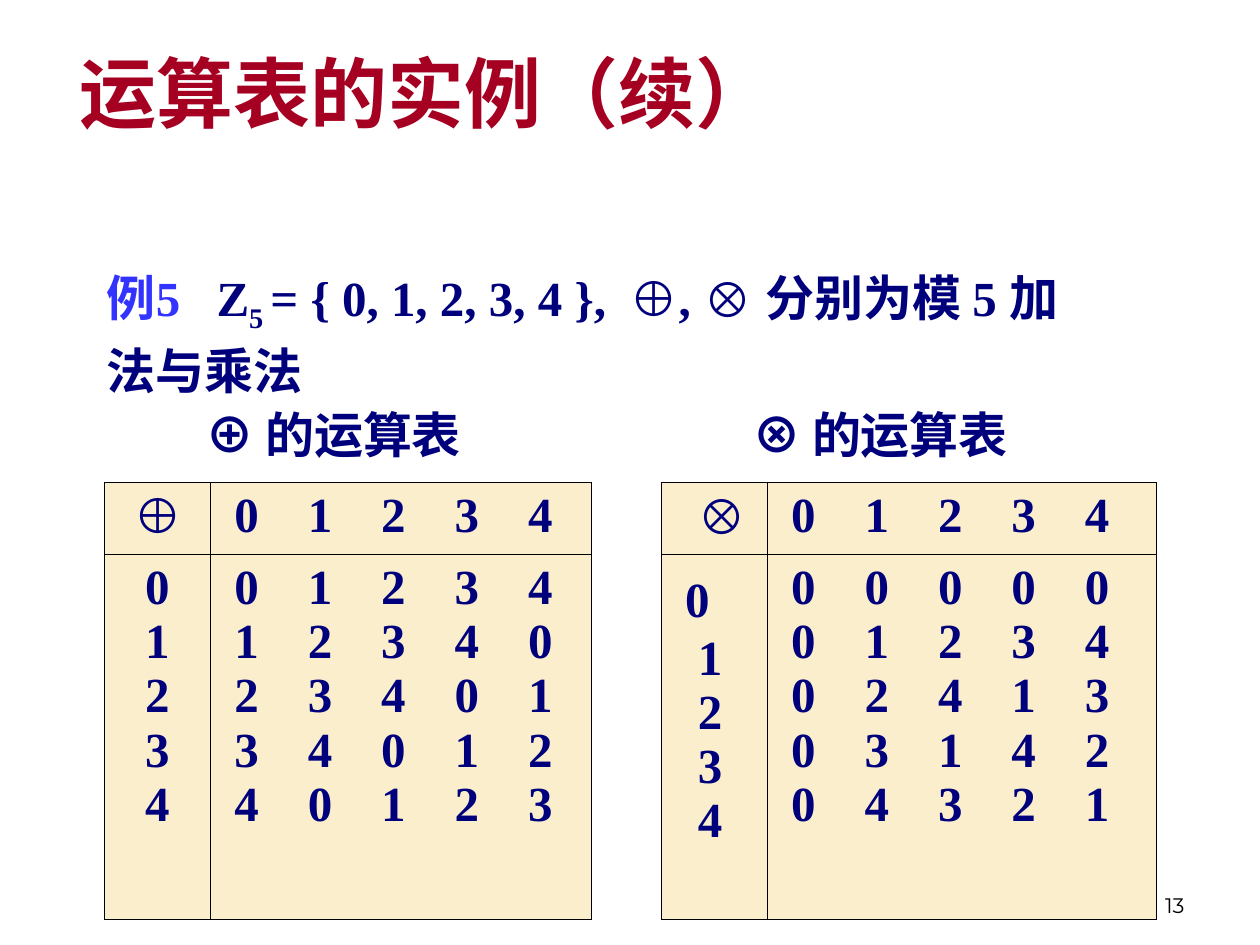
from dataclasses import dataclass

from lxml.etree import SubElement
from pptx import Presentation
from pptx.dml.color import RGBColor
from pptx.enum.text import MSO_ANCHOR, PP_ALIGN
from pptx.oxml.ns import qn
from pptx.util import Inches, Pt


@dataclass(frozen=True)
class Theme:
    title: str = "A50021"
    accent: str = "3333FF"
    ink: str = "00007D"
    cell: str = "FBEECD"
    rule: str = "000000"
    serif: str = "Times New Roman"
    sans: str = "Arial"
    chinese: str = "Noto Sans CJK SC"
    number: str = "Montserrat"
    title_size: int = 44
    body_size: int = 28
    number_size: int = 12
    rule_width: float = 0.45


class SlideBuilder:
    def __init__(self, slide, theme):
        self.slide = slide
        self.theme = theme

    def style(self, run, font=None, size=None, color=None, bold=True):
        theme = self.theme
        run.font.name = font or theme.serif
        run.font.size = Pt(size or theme.body_size)
        run.font.bold = bold
        run.font.color.rgb = RGBColor.from_string(color or theme.ink)
        latin = run.font._element.find(qn("a:latin"))
        chinese = latin.makeelement(qn("a:ea"), typeface=theme.chinese)
        latin.addnext(chinese)

    def tab_stops(self, paragraph, stops):
        tabs = SubElement(paragraph._p.get_or_add_pPr(), qn("a:tabLst"))
        for stop in stops:
            SubElement(tabs, qn("a:tab"), pos=str(Inches(stop)), algn="l")

    def text_box(self, left, top, width, height, anchor=MSO_ANCHOR.TOP):
        box = self.slide.shapes.add_textbox(
            Inches(left), Inches(top), Inches(width), Inches(height))
        frame = box.text_frame
        frame.word_wrap = True
        frame.vertical_anchor = anchor
        return frame

    def line(self, area, text, align=PP_ALIGN.LEFT, anchor=MSO_ANCHOR.MIDDLE, **look):
        frame = self.text_box(*area, anchor=anchor)
        frame.text = text
        paragraph = frame.paragraphs[0]
        paragraph.alignment = align
        self.style(paragraph.runs[0], **look)

    def rich_line(self, paragraph, pieces, stops):
        paragraph.line_spacing = 1.1
        self.tab_stops(paragraph, stops)
        for text, look in pieces:
            run = paragraph.add_run()
            run.text = text
            self.style(run, **look)
        return paragraph.runs

    def table(self, left, top, widths, heights):
        frame = self.slide.shapes.add_table(
            len(heights), len(widths), Inches(left), Inches(top),
            Inches(sum(widths)), Inches(sum(heights)))
        table = frame.table
        table.first_row = table.horz_banding = False
        for column, width in zip(table.columns, widths):
            column.width = Inches(width)
        for row, height in zip(table.rows, heights):
            row.height = Inches(height)
        return table

    def paint_cell(self, cell, sides="LRTB", filled=True):
        properties = cell._tc.get_or_add_tcPr()
        for side in "LRTB":
            border = SubElement(properties, qn(f"a:ln{side}"), w=str(Pt(self.theme.rule_width)))
            if side in sides:
                fill = SubElement(border, qn("a:solidFill"))
                SubElement(fill, qn("a:srgbClr"), val=self.theme.rule)
            else:
                SubElement(border, qn("a:noFill"))
        if filled:
            cell.fill.solid()
            cell.fill.fore_color.rgb = RGBColor.from_string(self.theme.cell)
        else:
            cell.fill.background()

    def fill_cell(self, cell, lines, margin=0.1, align=PP_ALIGN.LEFT, font=None, stops=()):
        cell.margin_left = Inches(margin)
        cell.text_frame.text = "\n".join(lines)
        for paragraph in cell.text_frame.paragraphs:
            paragraph.alignment = align
            if stops:
                self.tab_stops(paragraph, stops)
            self.style(paragraph.runs[0], font=font)


def add_statement(builder):
    theme = builder.theme
    symbol = {"font": theme.sans}
    frame = builder.text_box(0.75, 2.02, 8.05, 1.71)
    definition = builder.rich_line(frame.paragraphs[0], [
        ("例5", {"color": theme.accent}),
        ("\tZ", {}),
        ("5 ", {}),
        ("= { 0, 1, 2, 3, 4 },\t", {}),
        ("⊕", symbol),
        (", ", {}),
        ("⊗ ", symbol),
        ("分别为模 5 加法与乘法", {}),
    ], stops=(0.87, 4.15))
    definition[2].font._element.set("baseline", "-25000")
    builder.rich_line(frame.add_paragraph(), [
        ("\t", {}),
        ("⊕", symbol),
        (" 的运算表\t", {}),
        ("⊗ ", symbol),
        ("的运算表", {}),
    ], stops=(0.78, 5.12))


def add_operation_tables(builder):
    theme = builder.theme
    digits = range(5)
    labels = [str(digit) for digit in digits]
    sums = [[(a + b) % 5 for b in digits] for a in digits]
    products = [[a * b % 5 for b in digits] for a in digits]
    stops = [0.583 * step for step in range(1, 5)]
    indent = 0.19

    table = builder.table(0.83, 3.83, (0.84, 3.02, 0.56, 0.84, 3.09), (0.57, 2.9))
    for row in range(2):
        for column in range(5):
            gap = column == 2
            builder.paint_cell(table.cell(row, column), "LR" if gap else "LRTB", not gap)
    table.cell(0, 2).merge(table.cell(1, 2))

    for column, results in ((1, sums), (4, products)):
        for row, lines in enumerate(([digits], results)):
            builder.fill_cell(table.cell(row, column),
                              ["\t".join(map(str, line)) for line in lines],
                              margin=indent, stops=stops)

    builder.fill_cell(table.cell(0, 0), ["⊕"], align=PP_ALIGN.CENTER, font=theme.sans)
    builder.fill_cell(table.cell(1, 0), labels, align=PP_ALIGN.CENTER)
    builder.fill_cell(table.cell(0, 3), ["⊗"], margin=0.1 + indent, font=theme.sans)

    factors = table.cell(1, 3)
    builder.fill_cell(factors, [" "] + labels[1:])
    first, *others = factors.text_frame.paragraphs
    first.runs[0].font.name = theme.chinese
    zero = first.add_run()
    zero.text = labels[0]
    builder.style(zero)
    for paragraph in others:
        paragraph._p.get_or_add_pPr().set("marL", str(Inches(indent)))


def main():
    deck = Presentation()
    deck.slide_width, deck.slide_height = Inches(10), Inches(7.5)
    theme = Theme()
    builder = SlideBuilder(deck.slides.add_slide(deck.slide_layouts[6]), theme)
    builder.line((7.17, 6.83, 2.33, 0.5), "13", PP_ALIGN.RIGHT, MSO_ANCHOR.BOTTOM,
                 font=theme.number, size=theme.number_size, color=theme.rule, bold=False)
    builder.line((0.53, 0.22, 8.58, 1.02), "运算表的实例（续）",
                 font=theme.sans, size=theme.title_size, color=theme.title)
    add_statement(builder)
    add_operation_tables(builder)
    deck.save("out.pptx")


if __name__ == "__main__":
    main()
